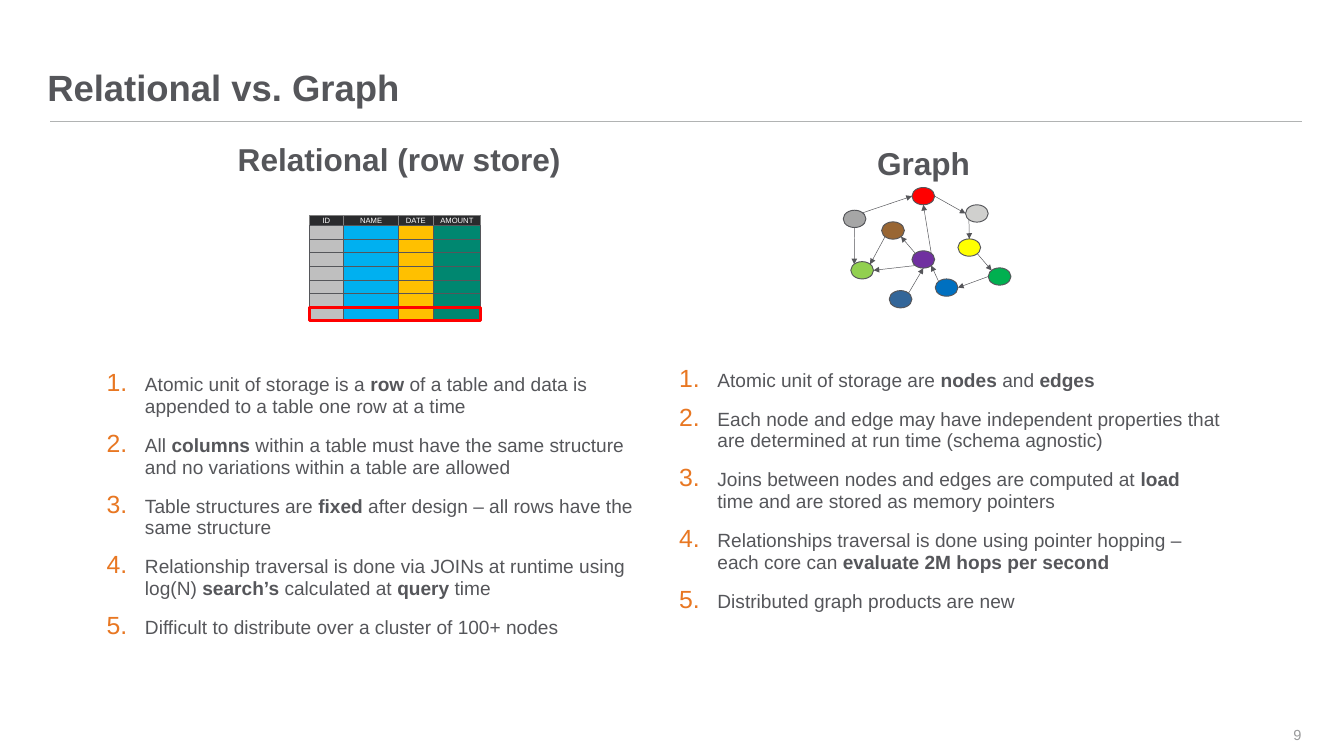
from lxml import etree
from pptx import Presentation
from pptx import util as u
from pptx.dml.color import RGBColor
from pptx.enum import shapes, text
from pptx.oxml.ns import qn

FONT = "Arial"
INK = RGBColor(0x55, 0x56, 0x5A)
RULE = RGBColor(0xB1, 0xB3, 0xB3)
PALE = RGBColor(0x99, 0x9A, 0x9B)
ORANGE = RGBColor(0xE8, 0x77, 0x22)
WHITE = RGBColor(0xFF, 0xFF, 0xFF)
RED = RGBColor(0xFF, 0x00, 0x00)
HEADER_FILL = RGBColor(0x2A, 0x2B, 0x2D)
HEADER_LINE = RGBColor(0x80, 0x80, 0x80)

# Column heading, width in cm, fill
COLUMNS = [
    ("ID", 1.27, RGBColor(0xBF, 0xBF, 0xBF)),
    ("NAME", 2.04, RGBColor(0x00, 0xB0, 0xF0)),
    ("DATE", 1.27, RGBColor(0xFF, 0xC0, 0x00)),
    ("AMOUNT", 1.76, RGBColor(0x00, 0x87, 0x70)),
]
ROWS, HEADER_HEIGHT, ROW_HEIGHT = 7, 0.4, 0.5

# Node offset within the graph in cm, fill
NODE_WIDTH, NODE_HEIGHT = 0.84, 0.64
NODES = {
    "red": (2.54, 0, RED),
    "brown": (1.42, 1.27, RGBColor(0x99, 0x66, 0x33)),
    "purple": (2.54, 2.34, RGBColor(0x70, 0x30, 0xA0)),
    "silver": (4.52, 0.64, RGBColor(0xD0, 0xD0, 0xCE)),
    "yellow": (4.24, 1.9, RGBColor(0xFF, 0xFF, 0x00)),
    "lime": (0.28, 2.74, RGBColor(0x92, 0xD0, 0x50)),
    "blue": (3.4, 3.38, RGBColor(0x00, 0x70, 0xC0)),
    "gray": (0, 0.84, RGBColor(0xA6, 0xA6, 0xA6)),
    "green": (5.36, 2.97, RGBColor(0x00, 0xB0, 0x50)),
    "navy": (1.7, 3.81, RGBColor(0x33, 0x66, 0x99)),
}
# Points on a node's rim, as fractions of its width and height
RIM = {
    "n": (0.5, 0), "ne": (0.85, 0.15), "e": (1, 0.5), "se": (0.85, 0.85),
    "s": (0.5, 1), "sw": (0.15, 0.85), "w": (0, 0.5), "nw": (0.15, 0.15),
}
EDGES = [
    ("gray", "ne", "red", "w"), ("red", "e", "silver", "w"),
    ("silver", "sw", "yellow", "n"), ("yellow", "se", "green", "nw"),
    ("green", "w", "blue", "e"), ("blue", "nw", "purple", "se"),
    ("purple", "nw", "brown", "se"), ("brown", "sw", "lime", "ne"),
    ("gray", "s", "lime", "nw"), ("purple", "ne", "red", "s"),
    ("purple", "sw", "lime", "e"), ("navy", "ne", "purple", "s"),
]

# Bold words stand between asterisks
RELATIONAL_POINTS = [
    "Atomic unit of storage is a *row* of a table and data is appended to a table one row at a time",
    "All *columns* within a table must have the same structure and no variations within a table are allowed",
    "Table structures are *fixed* after design – all rows have the same structure",
    "Relationship traversal is done via JOINs at runtime using log(N) *search’s* calculated at *query* time",
    "Difficult to distribute over a cluster of 100+ nodes",
]
GRAPH_POINTS = [
    "Atomic unit of storage are *nodes* and *edges*",
    "Each node and edge may have independent properties that are determined at run time (schema agnostic)",
    "Joins between nodes and edges are computed at *load* time and are stored as memory pointers",
    "Relationships traversal is done using pointer hopping – each core can *evaluate 2M hops per second*",
    "Distributed graph products are new",
]


def style_font(font, size, color, bold=False):
    font.name, font.size, font.bold = FONT, u.Pt(size), bold
    font.color.rgb = color


def clear_insets(frame):
    frame.margin_left = frame.margin_right = frame.margin_top = frame.margin_bottom = 0


def add_box(page, box):
    frame = page.shapes.add_textbox(*[u.Cm(n) for n in box]).text_frame
    frame.word_wrap = True
    clear_insets(frame)
    return frame


def add_label(page, box, words, size, color=INK, bold=True,
              align=text.PP_ALIGN.LEFT, anchor=text.MSO_ANCHOR.TOP, spacing=1.0):
    frame = add_box(page, box)
    frame.text = words
    frame.vertical_anchor = anchor
    para = frame.paragraphs[0]
    para.alignment, para.line_spacing = align, spacing
    style_font(para.runs[0].font, size, color, bold)


def add_solid(parent, kind, box, fill, line, width=1):
    shape = parent.add_shape(kind, *[u.Cm(n) for n in box])
    shape.shadow.inherit = False
    if fill is None:
        shape.fill.background()
    else:
        shape.fill.solid()
        shape.fill.fore_color.rgb = fill
    shape.line.color.rgb = line
    shape.line.width = u.Pt(width)
    return shape


def add_line(parent, start, end, color, width, arrow=False):
    line = parent.add_connector(shapes.MSO_CONNECTOR.STRAIGHT,
                                *[u.Cm(n) for n in (*start, *end)])
    line.line.color.rgb = color
    line.line.width = u.Pt(width)
    if arrow:
        etree.SubElement(line.line._get_or_add_ln(), qn("a:tailEnd"), type="triangle")
    etree.SubElement(line._element.spPr, qn("a:effectLst"))


def number_paragraph(para):
    props = para._p.get_or_add_pPr()
    props.set("marL", str(u.Cm(1.42)))
    props.set("indent", str(-u.Cm(1.42)))
    color = etree.SubElement(props, qn("a:buClr"))
    etree.SubElement(color, qn("a:srgbClr"), val=str(ORANGE))
    etree.SubElement(props, qn("a:buSzPct"), val="130000")
    etree.SubElement(props, qn("a:buFont"), typeface=FONT)
    etree.SubElement(props, qn("a:buAutoNum"), type="arabicPeriod")


def add_points(page, box, points):
    frame = add_box(page, box)
    for index, point in enumerate(points):
        para = frame.add_paragraph() if index else frame.paragraphs[0]
        number_paragraph(para)
        para.line_spacing = 0.95
        para.space_before = u.Pt(10.2 if index else 0)
        para.space_after = u.Pt(7.7)
        for part, words in enumerate(point.split("*")):
            if words:
                span = para.add_run()
                span.text = words
                style_font(span.font, 20, INK, bold=part % 2 == 1)


def add_row_store(page, left, top):
    rect = shapes.MSO_SHAPE.RECTANGLE
    x = left
    for name, width, fill in COLUMNS:
        header = add_solid(page.shapes, rect, (x, top, width, HEADER_HEIGHT),
                           HEADER_FILL, HEADER_LINE)
        frame = header.text_frame
        clear_insets(frame)
        frame.word_wrap = False
        frame.text = name
        frame.vertical_anchor = text.MSO_ANCHOR.MIDDLE
        frame.paragraphs[0].alignment = text.PP_ALIGN.CENTER
        style_font(frame.paragraphs[0].runs[0].font, 8, WHITE)
        for row in range(ROWS):
            y = top + HEADER_HEIGHT + row * ROW_HEIGHT
            add_solid(page.shapes, rect, (x, y, width, ROW_HEIGHT), fill, INK)
        x += width
    # Frame around the last row
    last = top + HEADER_HEIGHT + (ROWS - 1) * ROW_HEIGHT
    add_solid(page.shapes, rect, (left, last, x - left, ROW_HEIGHT), None, RED, 3)


def add_graph(page, left, top):
    group = page.shapes.add_group_shape().shapes

    def rim_point(node, side):
        x, y, _ = NODES[node]
        across, down = RIM[side]
        return left + x + across * NODE_WIDTH, top + y + down * NODE_HEIGHT

    for x, y, fill in NODES.values():
        add_solid(group, shapes.MSO_SHAPE.OVAL,
                  (left + x, top + y, NODE_WIDTH, NODE_HEIGHT), fill, INK)
    for source, leave, target, arrive in EDGES:
        add_line(group, rim_point(source, leave), rim_point(target, arrive), INK, 0.5, arrow=True)


def build_slide(deck):
    page = deck.slides.add_slide(deck.slide_layouts[6])
    center, middle = text.PP_ALIGN.CENTER, text.MSO_ANCHOR.MIDDLE
    # Title, rule and page number
    add_line(page.shapes, (1.85, 4.5), (48.11, 4.5), RULE, 1)
    add_label(page, (1.75, 1.55, 40.08, 2.49), "Relational vs. Graph", 38.2,
              anchor=text.MSO_ANCHOR.BOTTOM, spacing=0.9)
    add_label(page, (45.9, 26.42, 2.21, 1.5), "9", 15.3, PALE, False,
              text.PP_ALIGN.RIGHT, middle)
    # Relational side
    add_label(page, (8.36, 5.28, 12.8, 1.27), "Relational (row store)", 33.1,
              align=center, spacing=0.95)
    add_row_store(page, 11.43, 7.95)
    add_points(page, (3.94, 13.84, 19.56, 11.07), RELATIONAL_POINTS)
    # Graph side
    add_label(page, (24.16, 5.41, 19.96, 2.01), "Graph", 33.1, align=center, spacing=0.95)
    add_graph(page, 31.17, 6.93)
    add_points(page, (25.1, 13.67, 20.04, 11.07), GRAPH_POINTS)


def main():
    deck = Presentation()
    deck.slide_width, deck.slide_height = u.Cm(49.68), u.Cm(27.94)
    build_slide(deck)
    deck.save("out.pptx")


if __name__ == "__main__":
    main()
